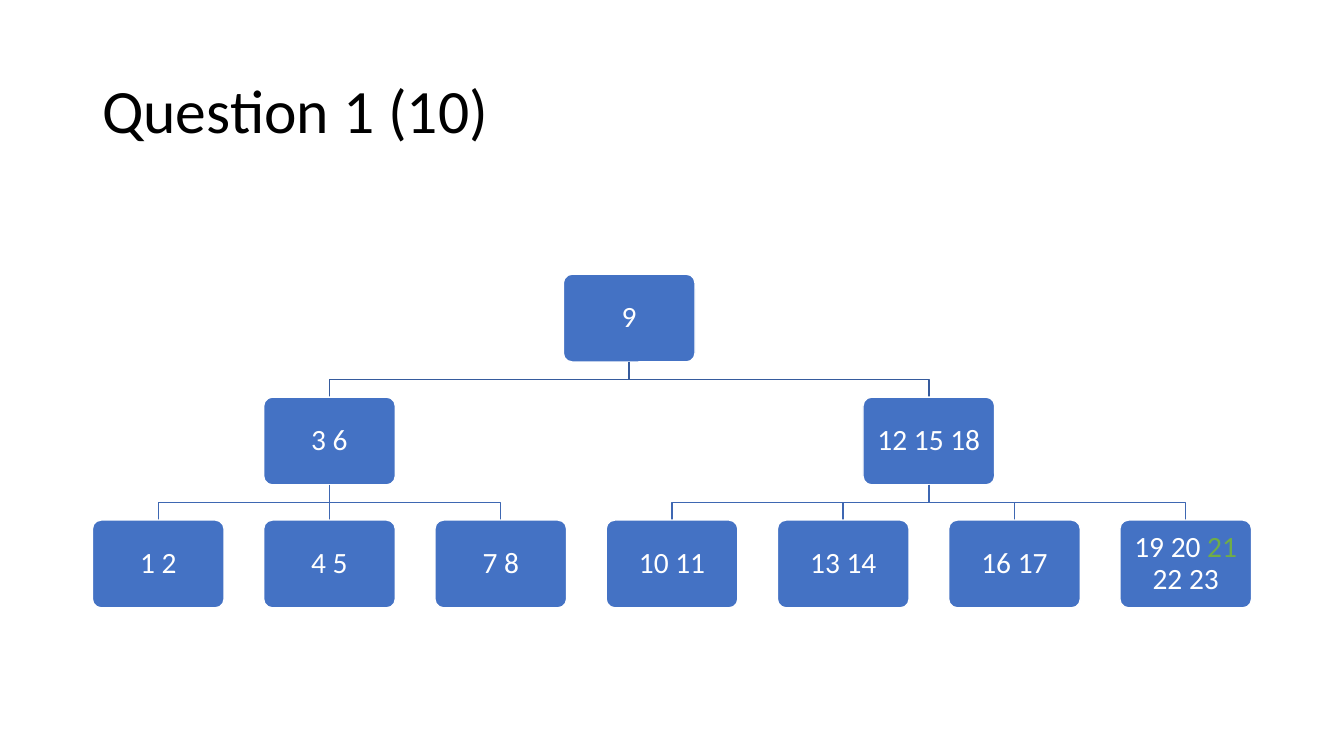
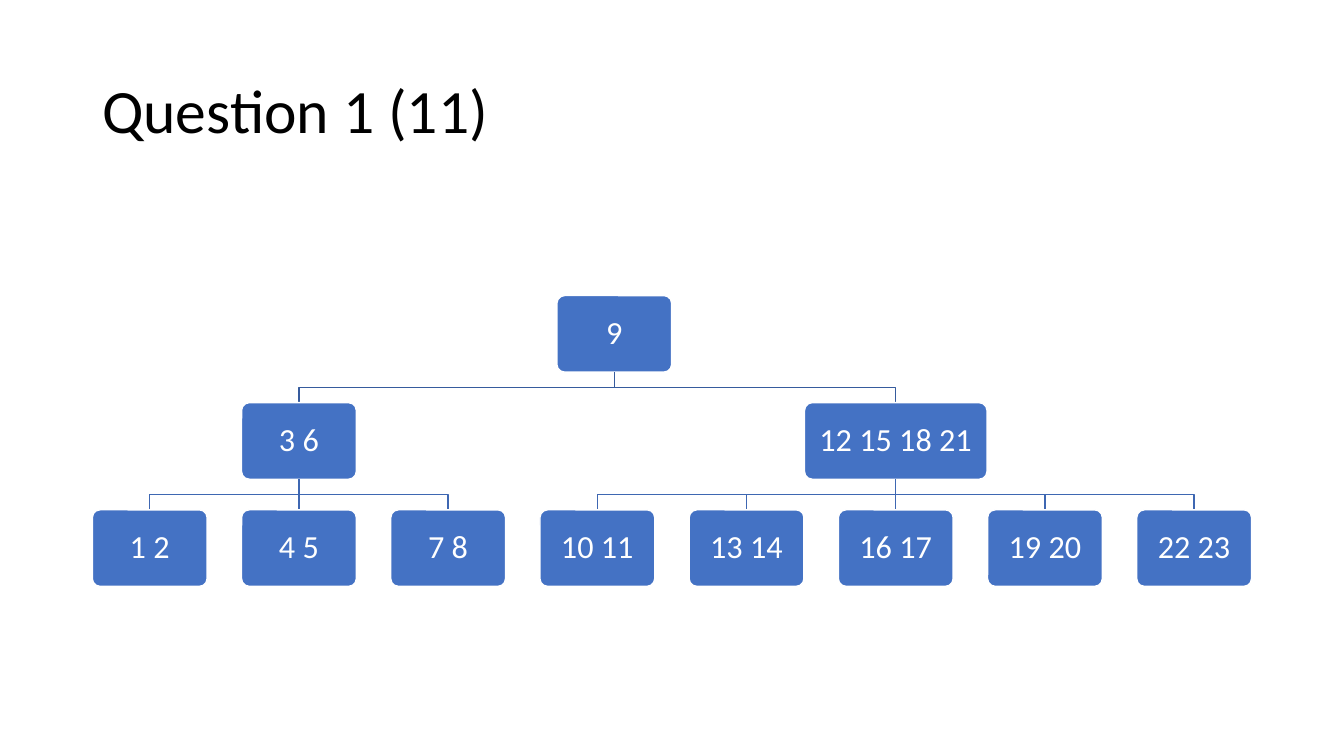
from dataclasses import dataclass
from itertools import count

from lxml.etree import SubElement
from pptx import Presentation
from pptx.dml.color import RGBColor
from pptx.enum.shapes import MSO_CONNECTOR, MSO_SHAPE
from pptx.enum.text import MSO_ANCHOR, PP_ALIGN
from pptx.oxml.ns import qn
from pptx.util import Pt

BLACK = RGBColor(0x00, 0x00, 0x00)
WHITE = RGBColor(0xFF, 0xFF, 0xFF)
BLUE = RGBColor(0x44, 0x72, 0xC4)
GREEN = RGBColor(0x70, 0xAD, 0x47)
LINK_COLORS = [RGBColor(0x36, 0x5B, 0x9D), RGBColor(0x3E, 0x67, 0xB2)]  # by row
FONT = "Calibri"

LEFT, WIDTH = 66, 828
TITLE_TOP, TITLE_HEIGHT = 28.8, 104.4
TREE_MIDDLE = 315
ROWS = 3
SIBLING_GAP = 0.3  # of a box width
BOX_HEIGHT = 2 / 3  # of a box width
ROW_GAP = 0.4  # of a box height


@dataclass
class Node:
    label: str  # text between bars is highlighted
    children: tuple = ()
    stretch: float = 1
    left: float = 0
    width: float = 0

    @property
    def center(self):
        return self.left + self.width / 2


def leaves(*labels):
    return tuple(Node(label) for label in labels)


SLIDES = [
    {
        "title": "Question 1 (10)",
        "size": 21,
        "inset": 8.3,
        "root": Node("9", (
            Node("3 6", leaves("1 2", "4 5", "7 8")),
            Node("12 15 18", leaves("10 11", "13 14", "16 17", "19 20 |21| 22 23")),
        )),
    },
    {
        "title": "Question 1 (11)",
        "size": 23,
        "inset": 8.8,
        "root": Node("9", (
            Node("3 6", leaves("1 2", "4 5", "7 8")),
            Node("12 15 18 21", leaves("10 11", "13 14", "16 17", "19 20", "22 23"), 1.59),
        )),
    },
]


def count_leaves(node):
    return sum(map(count_leaves, node.children)) or 1


def place(node, box_width, slots):
    """Give leaves the next free slot and center each parent over its children."""
    node.width = box_width * node.stretch
    for child in node.children:
        place(child, box_width, slots)
    if node.children:
        first, last = node.children[0], node.children[-1]
        node.left = (first.left + last.left + last.width - node.width) / 2
    else:
        node.left = LEFT + next(slots) * box_width * (1 + SIBLING_GAP)


def style_run(run, size, color):
    run.font.name = FONT
    run.font.size = Pt(size)
    run.font.color.rgb = color


def add_title(slide, text):
    box = slide.shapes.add_textbox(Pt(LEFT), Pt(TITLE_TOP), Pt(WIDTH), Pt(TITLE_HEIGHT))
    frame = box.text_frame
    frame.word_wrap = True
    frame.vertical_anchor = MSO_ANCHOR.MIDDLE
    frame.text = text
    paragraph = frame.paragraphs[0]
    paragraph.line_spacing = 0.9
    style_run(paragraph.runs[0], 44, BLACK)


def add_box(slide, node, top, height, size, inset):
    box = slide.shapes.add_shape(
        MSO_SHAPE.ROUNDED_RECTANGLE, Pt(node.left), Pt(top), Pt(node.width), Pt(height))
    box.adjustments[0] = 0.1
    box.shadow.inherit = False
    box.fill.solid()
    box.fill.fore_color.rgb = BLUE
    box.line.color.rgb = WHITE
    box.line.width = Pt(1)
    frame = box.text_frame
    frame.word_wrap = True
    frame.vertical_anchor = MSO_ANCHOR.MIDDLE
    frame.margin_left = frame.margin_right = Pt(inset)
    frame.margin_top = frame.margin_bottom = Pt(inset)
    paragraph = frame.paragraphs[0]
    paragraph.alignment = PP_ALIGN.CENTER
    paragraph.line_spacing = 0.9
    for index, part in enumerate(node.label.split("|")):
        run = paragraph.add_run()
        run.text = part
        style_run(run, size, GREEN if index % 2 else WHITE)


def add_link(slide, start_x, end_x, top, bottom, color):
    """Join parent and child, with a bend halfway unless the child is straight below."""
    if abs(start_x - end_x) < 0.1:
        link = slide.shapes.add_connector(
            MSO_CONNECTOR.STRAIGHT, Pt(start_x), Pt(top), Pt(start_x), Pt(bottom))
        SubElement(link._element.spPr, qn("a:effectLst"))
    else:
        middle = Pt((top + bottom) / 2)
        builder = slide.shapes.build_freeform(Pt(start_x), Pt(top))
        builder.add_line_segments(
            [(Pt(start_x), middle), (Pt(end_x), middle), (Pt(end_x), Pt(bottom))], close=False)
        link = builder.convert_to_shape()
        link.fill.background()
        link.shadow.inherit = False
    link.line.color.rgb = color
    link.line.width = Pt(1)


def draw_tree(slide, node, row, top, height, size, inset):
    add_box(slide, node, top, height, size, inset)
    bottom = top + height
    child_top = bottom + ROW_GAP * height
    for child in node.children:
        add_link(slide, node.center, child.center, bottom, child_top, LINK_COLORS[row])
        draw_tree(slide, child, row + 1, child_top, height, size, inset)


def main():
    presentation = Presentation()
    presentation.slide_width, presentation.slide_height = Pt(960), Pt(540)
    for content in SLIDES:
        slide = presentation.slides.add_slide(presentation.slide_layouts[6])
        add_title(slide, content["title"])
        root = content["root"]
        slot_count = count_leaves(root)
        box_width = WIDTH / (slot_count + (slot_count - 1) * SIBLING_GAP)
        place(root, box_width, count())
        height = box_width * BOX_HEIGHT
        tree_height = height * (ROWS + (ROWS - 1) * ROW_GAP)
        draw_tree(slide, root, 0, TREE_MIDDLE - tree_height / 2, height,
                  content["size"], content["inset"])
    presentation.save("out.pptx")


if __name__ == "__main__":
    main()
